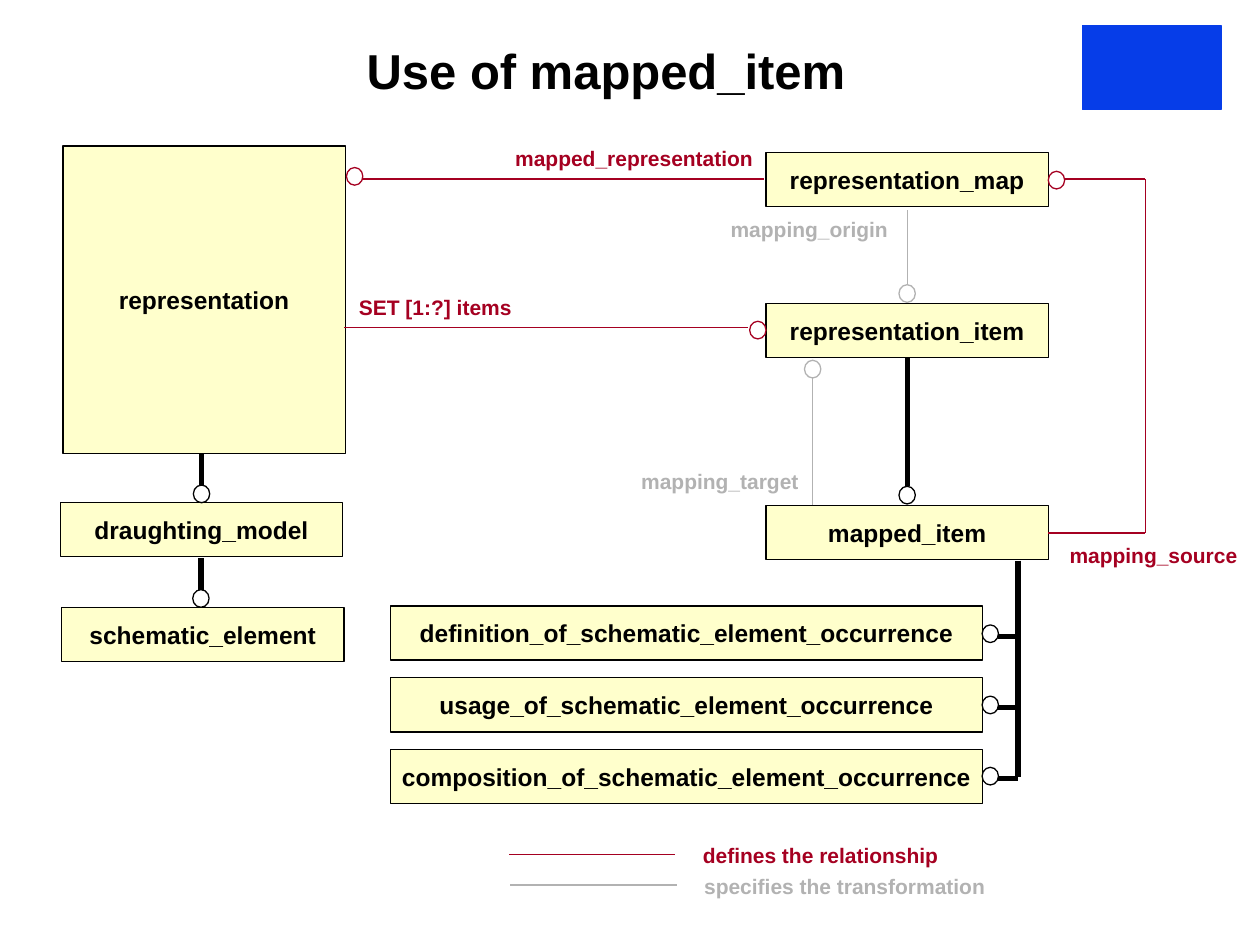
from lxml import etree
from pptx import Presentation
from pptx.dml.color import RGBColor
from pptx.enum.shapes import MSO_CONNECTOR, MSO_SHAPE
from pptx.enum.text import MSO_ANCHOR, MSO_AUTO_SIZE, PP_ALIGN
from pptx.oxml.ns import qn
from pptx.util import Inches, Pt

RECT, OVAL = MSO_SHAPE.RECTANGLE, MSO_SHAPE.OVAL
STRAIGHT = MSO_CONNECTOR.STRAIGHT
TOP, MIDDLE = MSO_ANCHOR.TOP, MSO_ANCHOR.MIDDLE
LEFT, CENTER = PP_ALIGN.LEFT, PP_ALIGN.CENTER
NO_AUTOFIT = MSO_AUTO_SIZE.NONE
TITLE_ONLY = 5

COLORS = {
    "ink": "000000",
    "entity": "FFFFCC",
    "paper": "FFFFFF",
    "relation": "A50021",
    "transform": "B2B2B2",
    "badge": "063DE8",
}


class Diagram:
    """Draws on a grid of 100 columns by 75 rows."""

    font = "Arial"
    thin, thick = 0.75, 3
    entity_width, entity_height = 22.4, 4.3
    knob_width, knob_height = 1.3, 1.4

    def __init__(self, prs):
        self.slide = prs.slides.add_slide(prs.slide_layouts[TITLE_ONLY])
        self.column = prs.slide_width / 100
        self.row = prs.slide_height / 75

    def to_emu(self, x, y, x2, y2):
        """Grid columns and rows as slide units."""
        return (round(x * self.column), round(y * self.row),
                round(x2 * self.column), round(y2 * self.row))

    def set_text(self, shape, words, size, color, align=LEFT, anchor=TOP):
        frame = shape.text_frame
        frame.text = words
        frame.auto_size = NO_AUTOFIT
        frame.word_wrap = False
        frame.vertical_anchor = anchor
        paragraph = frame.paragraphs[0]
        paragraph.alignment = align
        font = paragraph.runs[0].font
        font.name, font.size, font.bold = self.font, Pt(size), True
        font.color.rgb = RGBColor.from_string(COLORS[color])

    def title(self, words, *area):
        heading = self.slide.shapes.title
        heading.left, heading.top, heading.width, heading.height = self.to_emu(*area)
        self.set_text(heading, words, 28, "ink")

    def outline(self, kind, area, fill, line):
        shape = self.slide.shapes.add_shape(kind, *self.to_emu(*area))
        shape.shadow.inherit = False
        shape.fill.solid()
        shape.fill.fore_color.rgb = RGBColor.from_string(COLORS[fill])
        shape.line.color.rgb = RGBColor.from_string(COLORS[line])
        shape.line.width = Pt(self.thin)
        return shape

    def badge(self, *area):
        self.outline(RECT, area, "badge", "badge")

    def entity(self, name, left, top, width=entity_width, height=entity_height):
        box = self.outline(RECT, (left, top, width, height), "entity", "ink")
        self.set_text(box, name, 14, "ink", CENTER, MIDDLE)

    def knob(self, x, y, color="ink"):
        """Open circle centred on x, y that marks the end of a relation."""
        area = (x - self.knob_width / 2, y - self.knob_height / 2,
                self.knob_width, self.knob_height)
        self.outline(OVAL, area, "paper", color)

    def line(self, color, *points):
        """Straight pieces through the points; inheritance lines are thick."""
        for start, end in zip(points, points[1:]):
            piece = self.slide.shapes.add_connector(
                STRAIGHT, *self.to_emu(*start, *end))
            piece.line.color.rgb = RGBColor.from_string(COLORS[color])
            piece.line.width = Pt(self.thick if color == "ink" else self.thin)
            etree.SubElement(piece._element.spPr, qn("a:effectLst"))

    def label(self, words, color, left, top, width):
        box = self.slide.shapes.add_textbox(*self.to_emu(left, top, width, 3))
        self.set_text(box, words, 12, color)


def main():
    prs = Presentation()
    prs.slide_width, prs.slide_height = Inches(10), Inches(7.5)
    diagram = Diagram(prs)

    diagram.badge(85.9, 2, 11, 6.7)
    diagram.title("Use of mapped_item", 28.1, 2.7, 40, 5.7)

    diagram.entity("representation", 5, 11.6, height=24.4)
    diagram.entity("draughting_model", 4.8, 39.9)
    diagram.entity("schematic_element", 4.9, 48.2)
    for name, top in (("representation_map", 12.1),
                      ("representation_item", 24.1),
                      ("mapped_item", 40.1)):
        diagram.entity(name, 60.8, top)

    # Inheritance
    for x, top, knob_y in ((16, 36, 39.2), (15.95, 44.3, 47.5), (72, 28.4, 39.3)):
        diagram.line("ink", (x, top), (x, knob_y - 0.7))
        diagram.knob(x, knob_y)

    spine = 80.8
    diagram.line("ink", (spine, 44.5), (spine, 61.7))
    for index, role in enumerate(("definition", "usage", "composition")):
        diagram.entity(f"{role}_of_schematic_element_occurrence",
                       31, 48.1 + 5.7 * index, width=47)
        branch = 50.5 + 5.65 * index
        diagram.line("ink", (79.2, branch), (spine, branch))
        diagram.knob(78.6, branch - 0.2)

    # Attributes: route, then the circle at its far end
    attributes = (
        ("relation", ((60.6, 14.2), (28.6, 14.2)), (28.15, 14)),
        ("relation", ((27.3, 26), (59.4, 26)), (60.15, 26.2)),
        ("relation", ((83.2, 42.3), (90.9, 42.3), (90.9, 14.2), (84.4, 14.2)),
         (83.85, 14.3)),
        ("transform", ((72, 16.7), (72, 22.6)), (72, 23.3)),
        ("transform", ((64.5, 40.1), (64.5, 29.8)), (64.5, 29.3)),
    )
    for color, route, end in attributes:
        diagram.line(color, *route)
        diagram.knob(*end, color)

    labels = (
        ("mapped_representation", "relation", 39.9, 11.1, 20.9),
        ("SET [1:?] items", "relation", 27.5, 22.9, 14.1),
        ("mapping_source", "relation", 83.9, 42.6, 15.3),
        ("mapping_origin", "transform", 57, 16.7, 14.5),
        ("mapping_target", "transform", 49.9, 36.7, 14.5),
    )
    for label in labels:
        diagram.label(*label)

    # Legend
    legend = (("defines the relationship", "relation", 20.7),
              ("specifies the transformation", "transform", 24.3))
    for index, (meaning, color, width) in enumerate(legend):
        x, y = 40.4 + 0.1 * index, 67.8 + 2.45 * index
        diagram.line(color, (x, y), (x + 13.2, y))
        diagram.label(meaning, color, x + 14.4, y - 1.4, width)

    prs.save("out.pptx")


if __name__ == "__main__":
    main()
